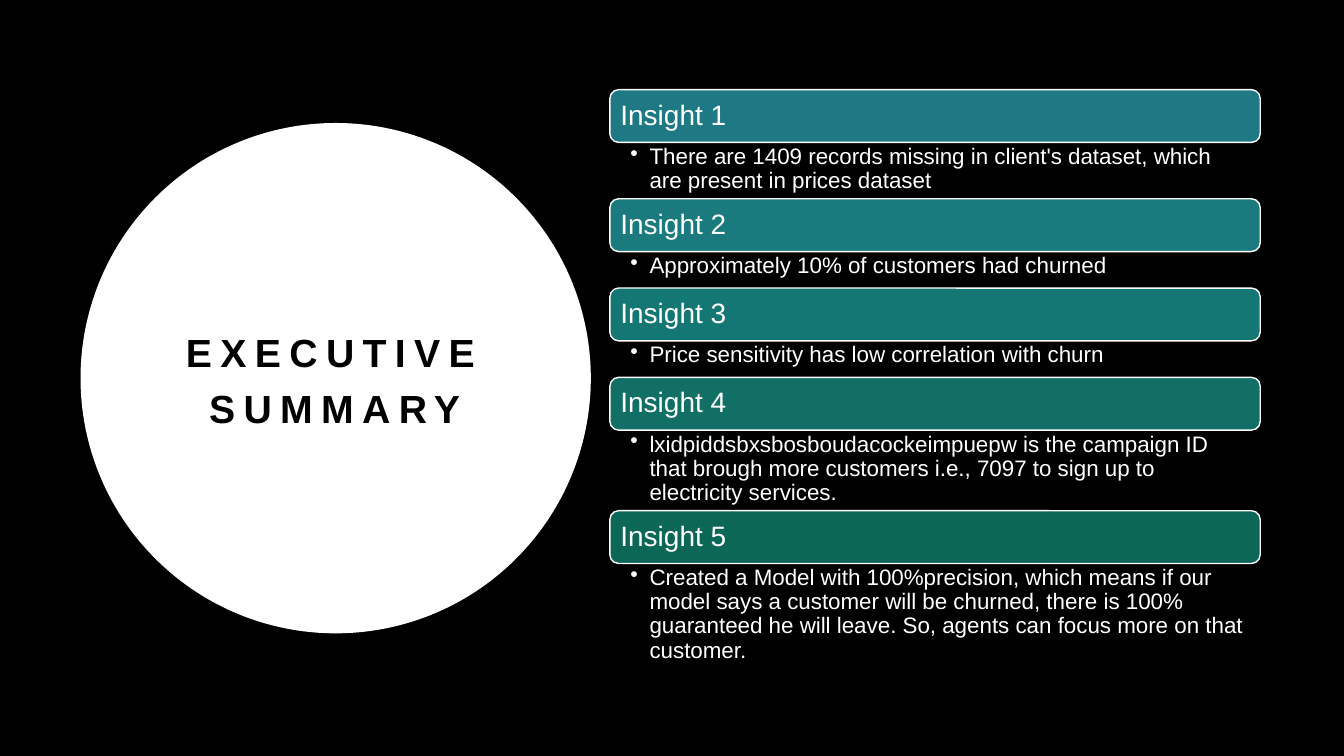
import pptx
import pptx.dml.color
import pptx.enum.shapes
import pptx.enum.text
import pptx.oxml.ns
import pptx.util
from lxml import etree

Cm = pptx.util.Cm
SHAPE = pptx.enum.shapes.MSO_SHAPE
ALIGN = pptx.enum.text.PP_ALIGN
ANCHOR = pptx.enum.text.MSO_ANCHOR

BAR = 1.33
ITEMS = [
    ("1F7985", 1.42, "There are 1409 records missing in client's dataset, "
     "which are present in prices dataset"),
    ("1A7A7E", 0.92, "Approximately 10% of customers had churned"),
    ("157773", 0.92, "Price sensitivity has low correlation with churn"),
    ("116F65", 2.03, "lxidpiddsbxsbosboudacockeimpuepw is the campaign ID that "
     "brough more customers i.e., 7097 to sign up to electricity services."),
    ("0D6756", 2.64, "Created a Model with 100%precision, which means if our "
     "model says a customer will be churned, there is 100% guaranteed he will "
     "leave. So, agents can focus more on that customer."),
]


def paint(target, color):
    """Give a fill or line fill one solid colour."""
    target.solid()
    target.fore_color.rgb = pptx.dml.color.RGBColor.from_string(color)


def write(shape, text, size=16, color="FFFFFF", bold=False, align=ALIGN.LEFT,
          anchor=ANCHOR.TOP, inset=(0.25, 0.13, 0.25, 0.13), lines=0.9,
          after=0, track=0, bullet=""):
    """Put one formatted paragraph into a shape."""
    frame = shape.text_frame
    frame.word_wrap = True
    frame.auto_size = pptx.enum.text.MSO_AUTO_SIZE.NONE
    frame.vertical_anchor = anchor
    (frame.margin_left, frame.margin_top,
     frame.margin_right, frame.margin_bottom) = [Cm(n) for n in inset]
    para = frame.paragraphs[0]
    para.alignment = align
    para.line_spacing = lines
    para.space_before = pptx.util.Pt(0)
    para.space_after = pptx.util.Pt(after)
    run = para.add_run()
    run.text = text
    run.font.name = "Arial"
    run.font.size = pptx.util.Pt(size)
    run.font.bold = bold
    paint(run.font.fill, color)
    if track:
        run._r.get_or_add_rPr().set("spc", str(track * 100))
    if bullet:
        props = para._p.get_or_add_pPr()
        props.set("marL", str(Cm(0.48)))
        props.set("indent", str(-Cm(0.48)))
        mark = etree.SubElement(props, pptx.oxml.ns.qn("a:buChar"))
        mark.set("char", bullet)


def block(slide, kind, box, color):
    """Add a flat shape of one colour without an outline."""
    shape = slide.shapes.add_shape(kind, *[Cm(n) for n in box])
    shape.shadow.inherit = False
    paint(shape.fill, color)
    shape.line.fill.background()
    return shape


def heading(slide, left, top, size):
    """Set the slide title in a white disc."""
    disc = block(slide, SHAPE.OVAL, (left, top, size, size), "FFFFFF")
    title = slide.shapes.title
    title.element.addprevious(disc.element)
    title.left, title.top = Cm(left + 0.88), Cm(top + 3.25)
    title.width, title.height = Cm(11.05), Cm(6.2)
    write(title, "EXECUTIVE SUMMARY", size=28, color="000000", bold=True,
          align=ALIGN.CENTER, anchor=ANCHOR.MIDDLE, lines=1.2, after=6, track=6)


def insights(slide, left, top, width):
    """Stack numbered bars, each with its finding below."""
    for num, (color, height, text) in enumerate(ITEMS, 1):
        bar = block(slide, SHAPE.ROUNDED_RECTANGLE, (left, top, width, BAR), color)
        paint(bar.line.fill, "FFFFFF")
        bar.line.width = pptx.util.Pt(1)
        write(bar, f"Insight {num}", size=20, anchor=ANCHOR.MIDDLE,
              inset=(0.2, 0.2, 0.2, 0.2))
        note = slide.shapes.add_textbox(
            Cm(left), Cm(top + BAR), Cm(width), Cm(height))
        write(note, text, inset=(0.52, 0.07, 0.4, 0.07), bullet="•")
        top += BAR + height


def main():
    """Build and save the summary slide."""
    deck = pptx.Presentation()
    deck.slide_width, deck.slide_height = Cm(33.87), Cm(19.05)
    slide = deck.slides.add_slide(deck.slide_layouts[5])
    paint(slide.background.fill, "000000")
    heading(slide, 2.03, 3.1, 12.86)
    insights(slide, 15.37, 2.26, 16.39)
    deck.save("out.pptx")


if __name__ == "__main__":
    main()
